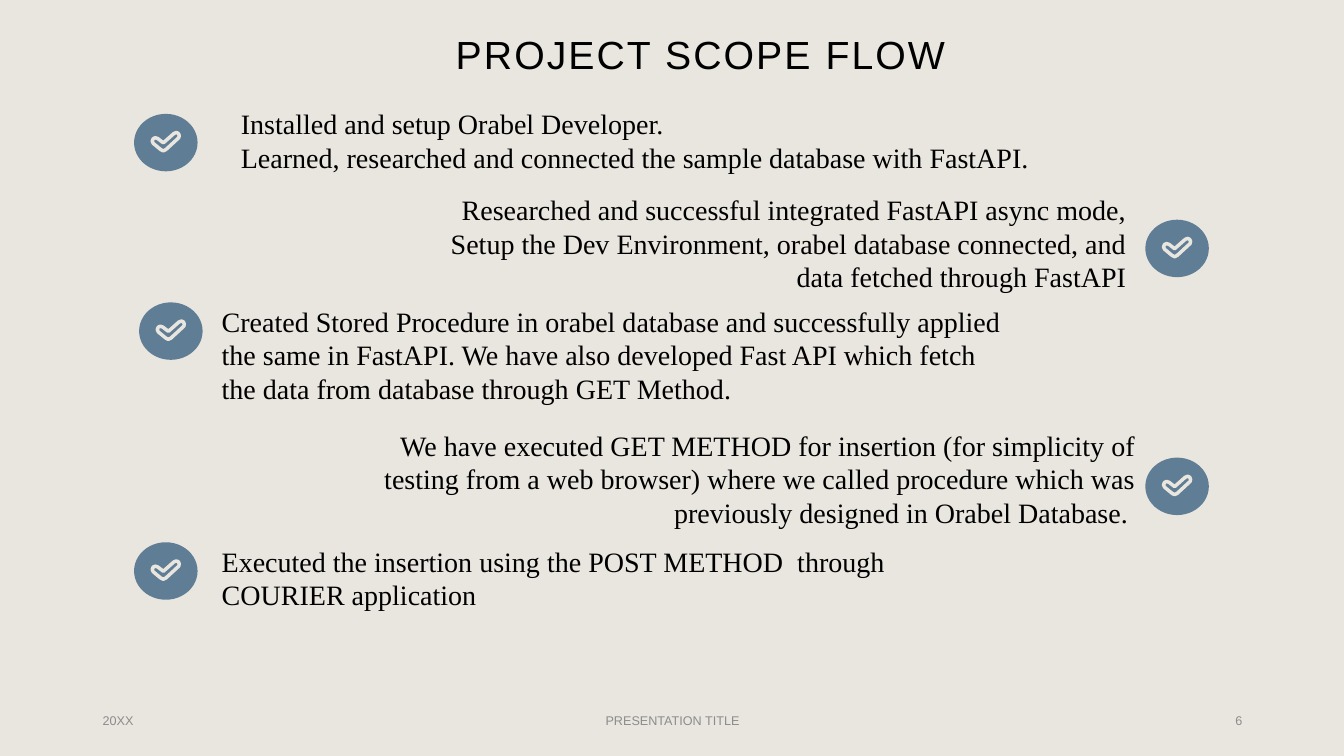
from pptx import Presentation
from pptx.dml.color import RGBColor
from pptx.enum.shapes import MSO_SHAPE
from pptx.enum.text import MSO_ANCHOR, MSO_AUTO_SIZE, PP_ALIGN
from pptx.util import Inches, Pt

BACKGROUND, BLUE, BLACK, GREY = "E9E6DF", "5F7D95", "000000", "8C8C8C"
LEFT, CENTER, RIGHT = PP_ALIGN.LEFT, PP_ALIGN.CENTER, PP_ALIGN.RIGHT

TITLE = "PROJECT SCOPE FLOW"
# text, box (left, top, width, height), alignment, badge corner (left, top)
STEPS = [
    ("Installed and setup Orabel Developer.\v"
     "Learned, researched and connected the sample database with FastAPI.",
     (2.29, 1.01, 9.21, 0.77), LEFT, (1.33, 1.13)),
    ("Researched and successful integrated FastAPI async mode, Setup the Dev "
     "Environment, orabel database connected, and data fetched through FastAPI",
     (3.97, 1.86, 7.3, 1.11), RIGHT, (11.36, 2.18)),
    ("Created Stored Procedure in orabel database and successfully applied the "
     "same in FastAPI. We have also developed Fast API which fetch the data from "
     "database through GET Method.",
     (2.1, 2.97, 8.05, 1.11), LEFT, (1.38, 3)),
    ("We have executed GET METHOD for insertion (for simplicity of testing from "
     "a web browser) where we called procedure which was previously designed in "
     "Orabel Database. ",
     (3.7, 4.2, 7.66, 1.11), RIGHT, (11.36, 4.54)),
    ("Executed the insertion using the POST METHOD  through COURIER application",
     (2.1, 5.35, 7.12, 0.77), LEFT, (1.33, 5.38)),
]
FOOTERS = [
    ("20XX", (0.92, 6.95, 3, 0.4), LEFT),
    ("PRESENTATION TITLE", (4.42, 6.95, 4.5, 0.4), CENTER),
    ("6", (9.42, 6.95, 3, 0.4), RIGHT),
]
BADGE_SIZE = (0.63, 0.57)
# Check mark outline, in thousandths of an inch from the badge corner
CHECK = [(420, 185), (440, 195), (448, 215), (443, 237), (315, 355), (290, 367),
         (265, 355), (190, 293), (180, 270), (190, 246), (210, 237), (235, 245),
         (290, 288), (395, 195)]


def color(value):
    return RGBColor.from_string(value)


def write(shape, text, align, size, font, ink, anchor=MSO_ANCHOR.MIDDLE):
    frame = shape.text_frame
    frame.text = text
    frame.word_wrap = True
    frame.auto_size = MSO_AUTO_SIZE.NONE
    frame.vertical_anchor = anchor
    para = frame.paragraphs[0]
    para.alignment = align
    for span in para.runs:
        span.font.size = Pt(size)
        span.font.name = font
        span.font.color.rgb = color(ink)
    return para


def add_text(page, box, *style):
    write(page.shapes.add_textbox(*map(Inches, box)), *style)


def add_badge(page, left, top):
    """Add a blue oval with an outlined check mark."""
    oval = page.shapes.add_shape(
        MSO_SHAPE.OVAL, *map(Inches, (left, top, *BADGE_SIZE)))
    builder = page.shapes.build_freeform(*CHECK[0], scale=Inches(1) / 1000)
    builder.add_line_segments(CHECK[1:], close=True)
    check = builder.convert_to_shape(Inches(left), Inches(top))
    for shape in (oval, check):
        shape.shadow.inherit = False
        shape.fill.solid()
        shape.fill.fore_color.rgb = color(BLUE)
    oval.line.fill.background()
    check.line.color.rgb = color(BACKGROUND)
    check.line.width = Pt(2.5)


def main():
    deck = Presentation()
    deck.slide_width, deck.slide_height = Inches(13.33), Inches(7.5)
    page = deck.slides.add_slide(deck.slide_layouts[5])
    page.background.fill.solid()
    page.background.fill.fore_color.rgb = color(BACKGROUND)

    title = page.shapes.title
    title.left, title.top, title.width, title.height = map(
        Inches, (4.42, -0.16, 9.21, 1.45))
    heading = write(title, TITLE, LEFT, 28, "Arial", BLACK)
    heading.line_spacing = 0.9
    heading.runs[0].font._element.set("spc", "150")

    for text, box, align, corner in STEPS:
        add_text(page, box, text, align, 20, "Times New Roman", BLACK, MSO_ANCHOR.TOP)
        add_badge(page, *corner)
    for text, box, align in FOOTERS:
        add_text(page, box, text, align, 9, "Arial", GREY)

    deck.save("out.pptx")


if __name__ == "__main__":
    main()
